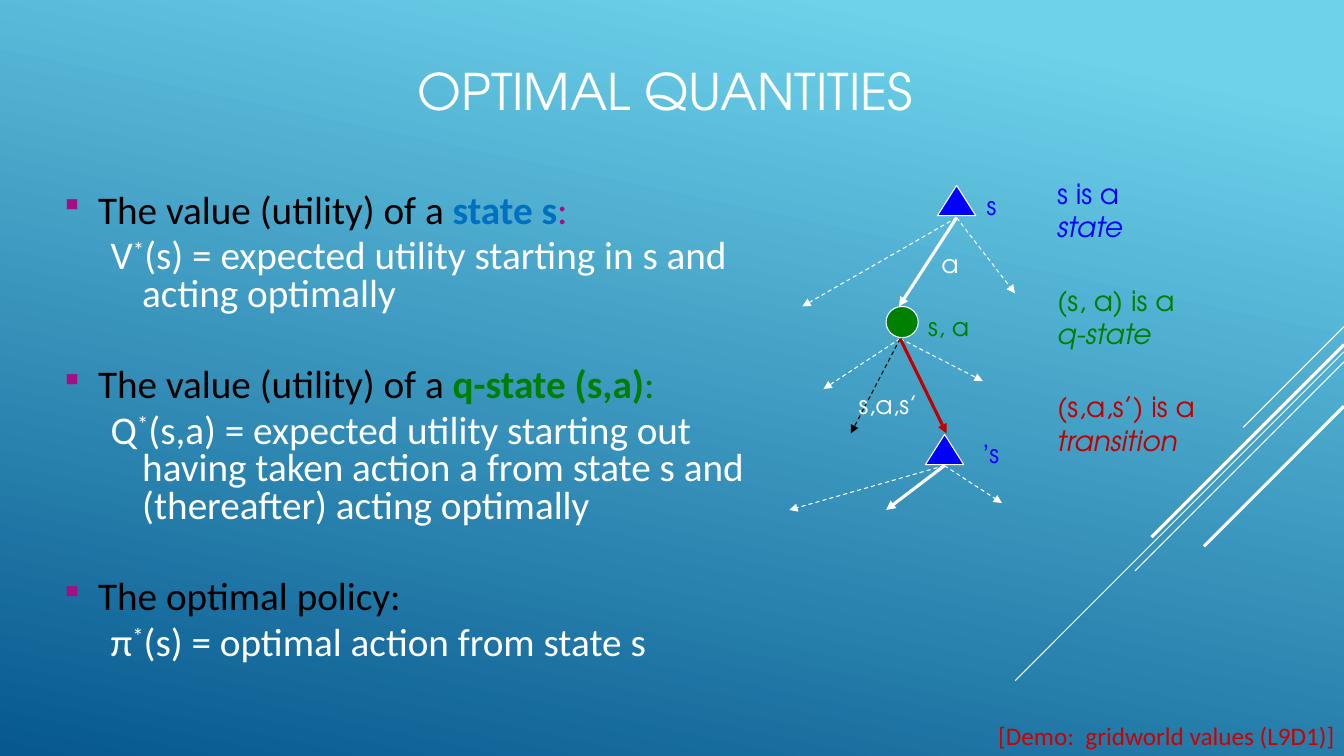
from lxml import etree
from pptx import Presentation
from pptx import util as u
from pptx.dml.color import RGBColor
from pptx.enum import dml, shapes, text
from pptx.oxml import ns

WHITE = RGBColor(0xFF, 0xFF, 0xFF)
BLACK = RGBColor(0, 0, 0)
SKY = RGBColor(0x6E, 0xD2, 0xEB)
NAVY = RGBColor(0x06, 0x58, 0x8E)
BLUE = RGBColor(0, 0, 0xFF)
GREEN = RGBColor(0, 0x80, 0)
CRIMSON = RGBColor(0xC0, 0, 0)
RED = RGBColor(0xCC, 0, 0)
AZURE = RGBColor(0, 0x70, 0xC0)
PLUM = RGBColor(0xA5, 0x0E, 0x82)
GEO = "TeX Gyre Adventor"
SANS = "Calibri"


class Slide:
    """Hold the slide and its style, with all lengths in points."""

    def __init__(self, deck):
        self.page = deck.slides.add_slide(deck.slide_layouts[5])
        self.items = self.page.shapes

    def ground(self, top, base, angle):
        fill = self.page.background.fill
        fill.gradient()
        fill.gradient_angle = angle
        for stop, color, place in zip(fill.gradient_stops, (top, base), (0.1, 1)):
            stop.color.rgb = color
            stop.position = place

    def font(self, para, size, name, color):
        para.font.size = u.Pt(size)
        para.font.name = name
        para.font.color.rgb = color

    def title(self, words, x, y, w, h):
        head = self.items.title
        head.left, head.top, head.width, head.height = map(u.Pt, (x, y, w, h))
        frame = head.text_frame
        frame.text = words
        frame.vertical_anchor = text.MSO_ANCHOR.MIDDLE
        frame.paragraphs[0].alignment = text.PP_ALIGN.LEFT
        self.font(frame.paragraphs[0], 36, GEO, WHITE)

    def frame(self, x, y, w, h):
        frame = self.items.add_textbox(*map(u.Pt, (x, y, w, h))).text_frame
        frame.word_wrap = True
        return frame

    def label(self, x, y, w, h, words, color, size=18, name=GEO, slant="",
              split=False, right=False, rtl=False):
        frame = self.frame(x, y, w, h)
        frame.auto_size = text.MSO_AUTO_SIZE.SHAPE_TO_FIT_TEXT
        para = frame.paragraphs[0]
        if right:
            para.alignment = text.PP_ALIGN.RIGHT
        if rtl:
            para._p.get_or_add_pPr().set("rtl", "1")
        self.font(para, size, name, color)
        para.add_run().text = words
        if split:
            para.add_line_break()
        if slant:
            run = para.add_run()
            run.text = slant
            run.font.italic = True

    def bullet(self, props):
        tint = etree.SubElement(props, ns.qn("a:buClr"))
        etree.SubElement(tint, ns.qn("a:srgbClr")).set("val", str(PLUM))
        etree.SubElement(props, ns.qn("a:buSzPct")).set("val", "80000")
        etree.SubElement(props, ns.qn("a:buChar")).set("char", "▪")

    def point(self, para, level, gap):
        para.level = level
        para.line_spacing = 0.8
        para.space_before = u.Pt(gap)
        props = para._p.get_or_add_pPr()
        left, hang = ((27, 27), (58.5, 22.5))[level]
        props.set("marL", str(u.Pt(left)))
        props.set("indent", str(-u.Pt(hang)))
        if level == 0:
            self.bullet(props)
        self.font(para, 28, SANS, WHITE if level else BLACK)

    def topic(self, frame, first, lead, key, colon, tint, tail, sign, rest):
        para = frame.paragraphs[0] if first else frame.add_paragraph()
        self.point(para, 0, 0 if first else 38.2)
        para.add_run().text = lead
        if key:
            for words, color, bold in ((key, tint, True), (colon, tail, False)):
                run = para.add_run()
                run.text = words
                run.font.bold = bold
                run.font.color.rgb = color
        para = frame.add_paragraph()
        self.point(para, 1, 5.6)
        para.add_run().text = sign
        star = para.add_run()
        star.text = "*"
        star.font._rPr.set("baseline", "30000")
        para.add_run().text = rest

    def node(self, kind, x, y, w, h, color):
        node = self.items.add_shape(kind, *map(u.Pt, (x, y, w, h)))
        node.shadow.inherit = False
        node.fill.solid()
        node.fill.fore_color.rgb = color
        node.line.color.rgb = WHITE
        node.line.width = u.Pt(0.75)

    def line(self, start, end, color=WHITE, width=0.75, dash=False, arrow=False):
        line = self.items.add_connector(
            shapes.MSO_CONNECTOR.STRAIGHT, *map(u.Pt, (*start, *end)))
        line.line.color.rgb = color
        line.line.width = u.Pt(width)
        if dash:
            line.line.dash_style = dml.MSO_LINE.DASH
        if arrow:
            tip = etree.SubElement(line.line._get_or_add_ln(), ns.qn("a:tailEnd"))
            tip.set("type", "triangle")
        etree.SubElement(line._element.spPr, ns.qn("a:effectLst"))

    def fan(self, root, *ends):
        for x, y, color, bold in ends:
            self.line(root, (x, y), color, 2.25 if bold else 0.75, not bold, True)


def main():
    deck = Presentation()
    deck.slide_width, deck.slide_height = u.Pt(960), u.Pt(540)
    slide = Slide(deck)
    slide.ground(SKY, NAVY, 258)
    for y, run, width in ((233.3, 72, 0.75), (251.3, 234.8, 0.75), (258.5, 149.3, 0.75),
                          (246.2, 137.5, 2.25), (290.2, 100, 2.25)):
        slide.line((960, y), (960 - run, y + run), width=width)
    slide.title("OPTIMAL QUANTITIES", 291, 33, 378, 62.6)

    body = slide.frame(36, 95.8, 528, 347)
    body.margin_top = u.Pt(43)
    lead = "The value (utility) of a "
    topics = (
        (lead, "state s", ":", AZURE, PLUM, "V",
         "(s) = expected utility starting in s and acting optimally"),
        (lead, "q-state (s,a)", ":", GREEN, GREEN, "Q",
         "(s,a) = expected utility starting out having taken action a "
         "from state s and (thereafter) acting optimally"),
        ("The optimal policy:", "", "", None, None, "π",
         "(s) = optimal action from state s"))
    for i, topic in enumerate(topics):
        slide.topic(body, i == 0, *topic)

    kinds = shapes.MSO_SHAPE
    slide.node(kinds.ISOSCELES_TRIANGLE, 669.6, 132.5, 27.4, 21.6, BLUE)
    slide.node(kinds.ISOSCELES_TRIANGLE, 661, 310.3, 27.4, 21.6, BLUE)
    slide.fan((683.3, 155.5), (573.1, 218.9, WHITE, False),
              (642.2, 218.9, WHITE, True), (725, 209.5, WHITE, False))
    slide.node(kinds.OVAL, 632.9, 218.9, 23, 22.3, GREEN)
    slide.fan((643, 241.9), (588.2, 277.9, WHITE, False), (702, 272.2, WHITE, False),
              (607.7, 309.6, BLACK, False), (676.1, 309.6, CRIMSON, True))
    slide.fan((674.6, 332.6), (563.8, 364.3, WHITE, False),
              (632.9, 364.3, WHITE, True), (715.7, 359.3, WHITE, False))

    slide.label(665.3, 174.2, 23, 21.6, "a", WHITE)
    slide.label(697.7, 132.5, 23, 28.8, "s", BLUE)
    slide.label(690.5, 309.6, 30.2, 28.8, "s’", BLUE, right=True, rtl=True)
    slide.label(655.9, 218.9, 46.1, 28.8, "s, a", GREEN)
    slide.label(606.2, 274.3, 64.8, 21.6, "s,a,s’", WHITE)
    slide.label(748, 122.4, 82.8, 55.4, "s is a ", BLUE, 20, slant="state")
    slide.label(748, 198.7, 102.2, 55.4, "(s, a) is a ", GREEN, 20, slant="q-state")
    slide.label(748, 275, 124.6, 55.4, "(s,a,s’) is a ", CRIMSON, 20,
                slant="transition", split=True)
    slide.label(606.2, 511.2, 354.2, 28.8, "[Demo:  gridworld values (L9D1)]", RED,
                name=SANS, right=True)
    deck.save("out.pptx")


if __name__ == "__main__":
    main()
